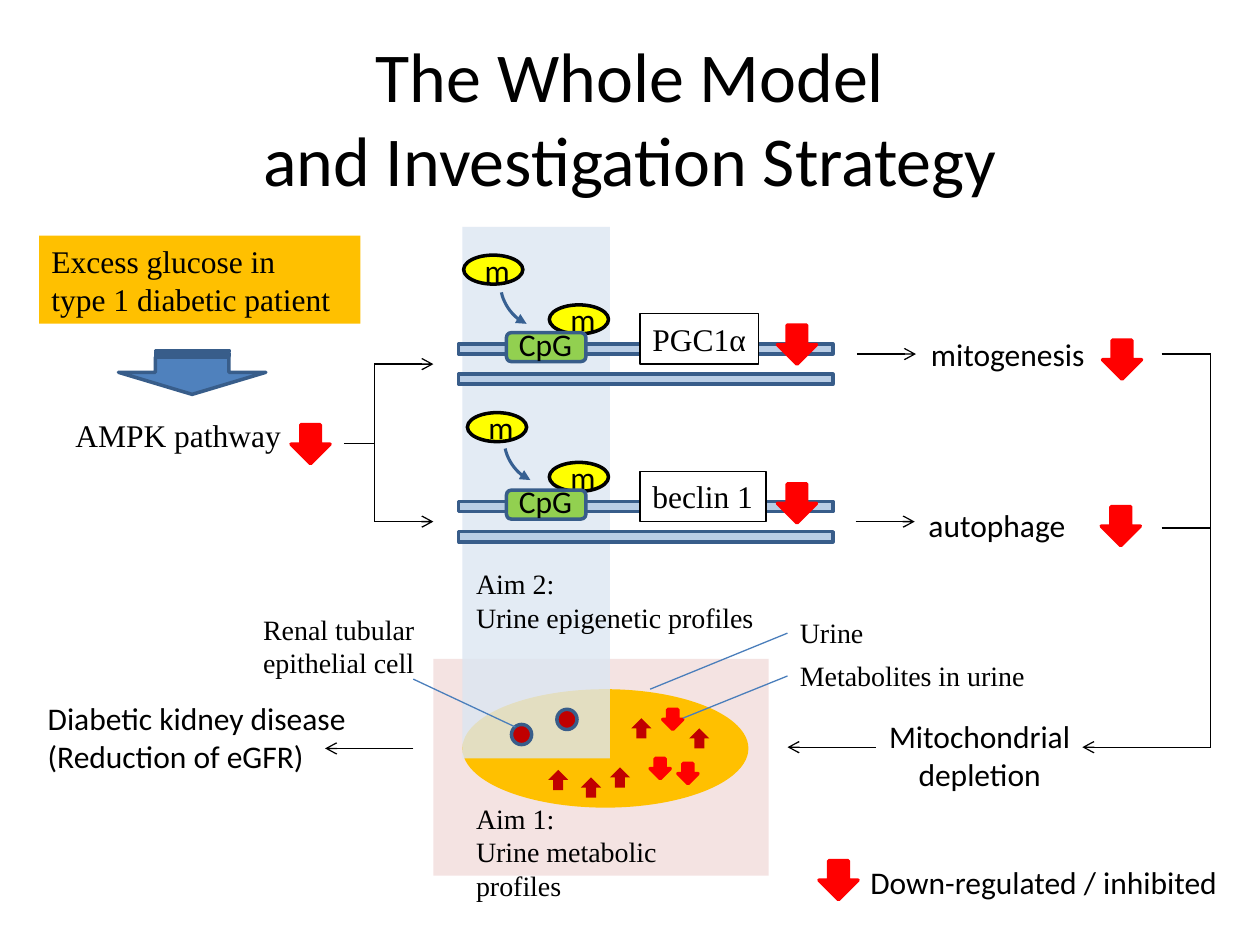
from lxml import etree
from pptx import Presentation
from pptx import util as u
from pptx.dml.color import RGBColor
from pptx.enum import shapes, text
from pptx.oxml import ns

BLACK = RGBColor(0, 0, 0)
WHITE = RGBColor(255, 255, 255)
RED = RGBColor(255, 0, 0)
DARK = RGBColor(0xC0, 0, 0)
GOLD = RGBColor(0xFF, 0xC0, 0)
YELLOW = RGBColor(255, 255, 0)
GREEN = RGBColor(0x92, 0xD0, 0x50)
PINK = RGBColor(0xF2, 0xDC, 0xDB)
PALE = RGBColor(0xDC, 0xE6, 0xF2)
SKY = RGBColor(0xB9, 0xCD, 0xE5)
BLUE = RGBColor(0x4F, 0x81, 0xBD)
NAVY = RGBColor(0x38, 0x5D, 0x8A)
CURVE = RGBColor(0x37, 0x60, 0x92)
LEAD = RGBColor(0x4A, 0x7E, 0xBB)
SANS, SERIF = "Calibri", "Times New Roman"
KIND = shapes.MSO_SHAPE
MID = text.PP_ALIGN.CENTER

deck = Presentation()
deck.slide_width, deck.slide_height = u.Inches(10), u.Inches(7.5)
slide = deck.slides.add_slide(deck.slide_layouts[6])
tree = slide.shapes


def draw(kind, x, y, w, h, fill, edge=None, wide=2, alpha=None):
    item = tree.add_shape(kind, u.Inches(x), u.Inches(y), u.Inches(w), u.Inches(h))
    item.shadow.inherit = False
    item.fill.solid()
    item.fill.fore_color.rgb = fill
    if alpha:
        tone = item.element.spPr.find(".//" + ns.qn("a:srgbClr"))
        etree.SubElement(tone, ns.qn("a:alpha"), val=str(alpha * 1000))
    if edge is None:
        item.line.fill.background()
    else:
        item.line.color.rgb = edge
        item.line.width = u.Pt(wide)
    return item


def write(words, font, size, spot=None, item=None, wrap=True, grow=True, align=text.PP_ALIGN.LEFT):
    if item is None:
        item = tree.add_textbox(*[u.Inches(n) for n in spot])
    frame = item.text_frame
    frame.word_wrap = wrap
    frame.vertical_anchor = text.MSO_ANCHOR.TOP if grow else text.MSO_ANCHOR.MIDDLE
    if grow:
        frame.auto_size = text.MSO_AUTO_SIZE.SHAPE_TO_FIT_TEXT
    frame.text = words
    for para in frame.paragraphs:
        para.alignment = align
        para.font.name = font
        para.font.size = u.Pt(size)
        para.font.color.rgb = BLACK
    return item


draw(KIND.RECTANGLE, 3.44, 5.23, 2.66, 1.72, PINK, alpha=80)
draw(KIND.OVAL, 3.67, 5.47, 2.27, 0.94, GOLD)
draw(KIND.RECTANGLE, 3.67, 1.8, 1.17, 4.22, PALE, alpha=80)
write("The Whole Model\vand Investigation Strategy", SANS, 40, (0.5, 0.3, 9, 1.25), grow=False, align=MID)

for name, wide, top, left in [("beclin 1", 1, 3.74, 3.71), ("PGC1α", 0.94, 2.49, 3.68)]:
    for gap in (0.24, 0.48):
        draw(KIND.RECTANGLE, 3.64, top + gap, 2.97, 0.08, SKY, NAVY)
    label = draw(KIND.RECTANGLE, 5.08, top, wide, 0.4, WHITE, BLACK, 0.75)
    write(name, SERIF, 18, item=label, wrap=False)
    for x, gap in [(left, -0.465), (4.36, -0.07)]:
        tag = draw(KIND.OVAL, x, top + gap, 0.47, 0.23, YELLOW, BLACK)
        write("m", SANS, 18, item=tag, grow=False, align=MID)
    draw(KIND.ROUNDED_RECTANGLE, 4.02, top + 0.15, 0.63, 0.23, GREEN, NAVY)
    write("CpG", SANS, 18, (4.02, top + 0.04, 0.69, 0.4))

for x, y in [(6.17, 2.58), (6.17, 3.84), (8.75, 2.7), (8.74, 4.02), (2.31, 3.37), (6.5, 6.83)]:
    draw(KIND.DOWN_ARROW, x, y, 0.31, 0.31, RED, RED)

for x, y in [(3.98, 2.32), (4.01, 3.56)]:
    dots = []
    for step in range(1, 13):
        t = step / 12
        a, b, c = 3 * t * (1 - t) ** 2, 3 * t * t * (1 - t), t ** 3
        dots.append((u.Inches(x + 0.02 * a + 0.1 * b + 0.2 * c),
                     u.Inches(y + 0.1 * a + 0.21 * b + 0.25 * c)))
    pen = tree.build_freeform(u.Inches(x), u.Inches(y))
    pen.add_line_segments(dots, close=False)
    bend = pen.convert_to_shape()
    bend.shadow.inherit = False
    bend.fill.background()
    bend.line.color.rgb = CURVE
    bend.line.width = u.Pt(1.75)
    etree.SubElement(bend.element.spPr.find(ns.qn("a:ln")), ns.qn("a:tailEnd"), type="triangle")

cause = draw(KIND.RECTANGLE, 0.31, 1.87, 2.55, 0.7, GOLD)
write("Excess glucose in\ntype 1 diabetic patient", SERIF, 18, item=cause)
draw(KIND.STRIPED_RIGHT_ARROW, 1.35, 2.37, 0.35, 1.17, BLUE, NAVY).rotation = 90

for words, font, size, spot, wrap, align in [
    ("AMPK pathway", SERIF, 18, (0.5, 3.25, 1.83, 0.4), False, None),
    ("mitogenesis", SANS, 18, (7.29, 2.61, 1.42, 0.4), False, None),
    ("autophage", SANS, 18, (7.27, 3.97, 1.29, 0.4), False, None),
    ("Down-regulated / inhibited", SANS, 18, (6.81, 6.8, 2.96, 0.4), False, None),
    ("Aim 2:\nUrine epigenetic profiles", SERIF, 16, (3.68, 4.45, 2.4, 0.64), False, None),
    ("Aim 1:\nUrine metabolic profiles", SERIF, 16, (3.68, 6.31, 2.36, 0.64), False, None),
    ("Mitochondrial depletion", SANS, 18, (6.72, 5.64, 2.11, 0.7), True, MID),
    ("Diabetic kidney disease\n(Reduction of eGFR)", SANS, 18, (0.28, 5.5, 2.59, 0.7), True, None),
    ("Renal tubular epithelial cell", SERIF, 16, (1.99, 4.81, 1.56, 0.64), True, None),
]:
    write(words, font, size, spot, wrap=wrap, align=align)

for x, y in [(5.16, 6.02), (5.38, 6.06), (5.26, 5.63)]:
    draw(KIND.DOWN_ARROW, x, y, 0.16, 0.16, RED, RED)
for x, y in [(5.47, 5.78), (4.84, 6.09), (5.01, 5.7), (4.35, 6.11), (4.61, 6.17)]:
    draw(KIND.DOWN_ARROW, x, y, 0.16, 0.16, DARK).rotation = 180
for x, y in [(4.42, 5.63), (4.06, 5.75)]:
    draw(KIND.OVAL, x, y, 0.16, 0.16, DARK, NAVY)

urine = write("Urine", SERIF, 16, (6.25, 4.84, 2.27, 0.37))
meta = write("Metabolites in urine", SERIF, 16, (6.25, 5.18, 2.27, 0.37))

for x, y, right, low, tint, head, start in [
    (6.8, 2.81, 7.27, 2.81, BLACK, True, None),
    (6.79, 4.14, 7.26, 4.14, BLACK, True, None),
    (2.97, 2.89, 2.97, 4.14, BLACK, False, None),
    (2.73, 3.52, 2.97, 3.52, BLACK, False, None),
    (2.97, 2.89, 3.44, 2.89, BLACK, True, None),
    (2.97, 4.14, 3.44, 4.14, BLACK, True, None),
    (9.22, 2.81, 9.61, 2.81, BLACK, False, None),
    (9.22, 4.19, 9.61, 4.19, BLACK, False, None),
    (9.61, 2.81, 9.61, 5.93, BLACK, False, None),
    (9.61, 5.93, 8.59, 5.93, BLACK, True, None),
    (6.95, 5.93, 6.25, 5.93, BLACK, True, None),
    (3.28, 5.94, 2.58, 5.94, BLACK, True, None),
    (6.25, 5.03, 5.16, 5.47, LEAD, False, urine),
    (6.25, 5.36, 5.42, 5.7, LEAD, False, meta),
    (3.28, 5.39, 4.09, 5.77, LEAD, False, None),
]:
    link = tree.add_connector(shapes.MSO_CONNECTOR.STRAIGHT, u.Inches(x), u.Inches(y), u.Inches(right), u.Inches(low))
    link.line.color.rgb = tint
    link.line.width = u.Pt(0.75)
    if head:
        etree.SubElement(link.element.spPr.find(ns.qn("a:ln")), ns.qn("a:tailEnd"), type="arrow")
    etree.SubElement(link.element.spPr, ns.qn("a:effectLst"))
    if start is not None:
        link.begin_connect(start, 1)

deck.save("out.pptx")
